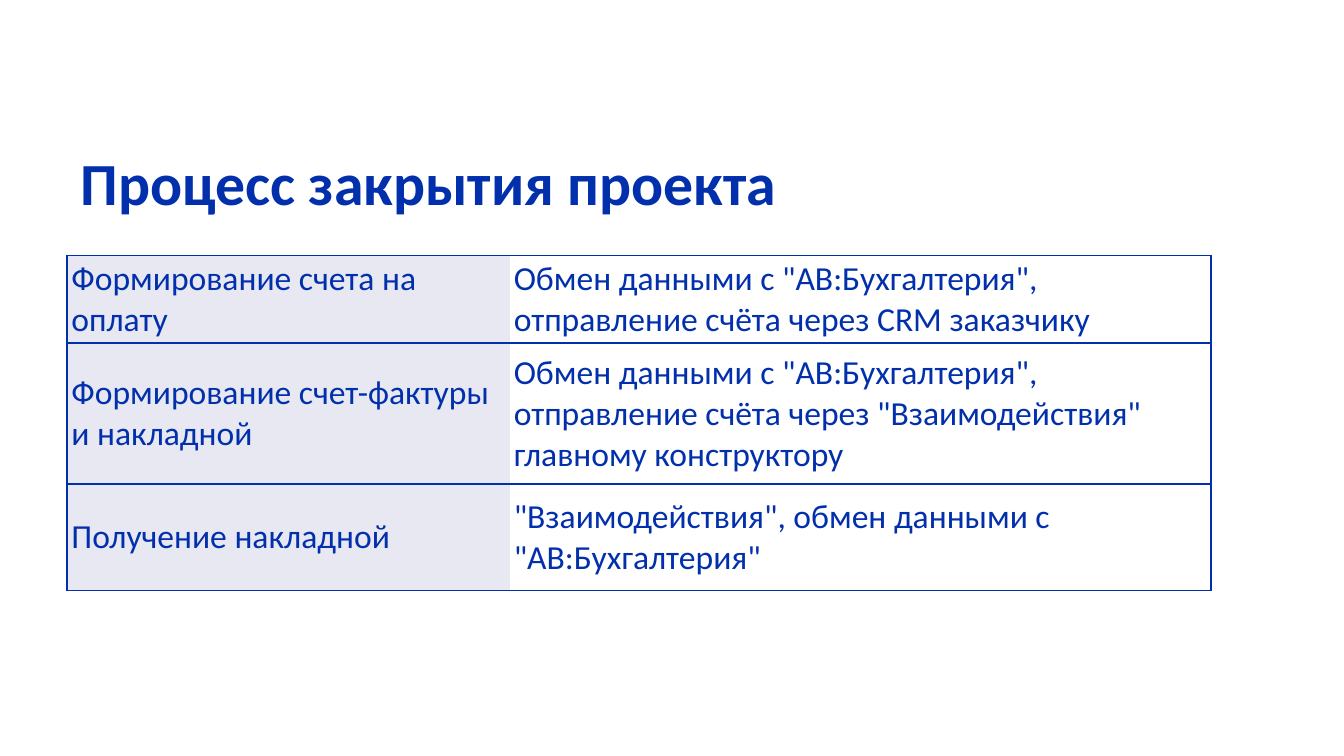
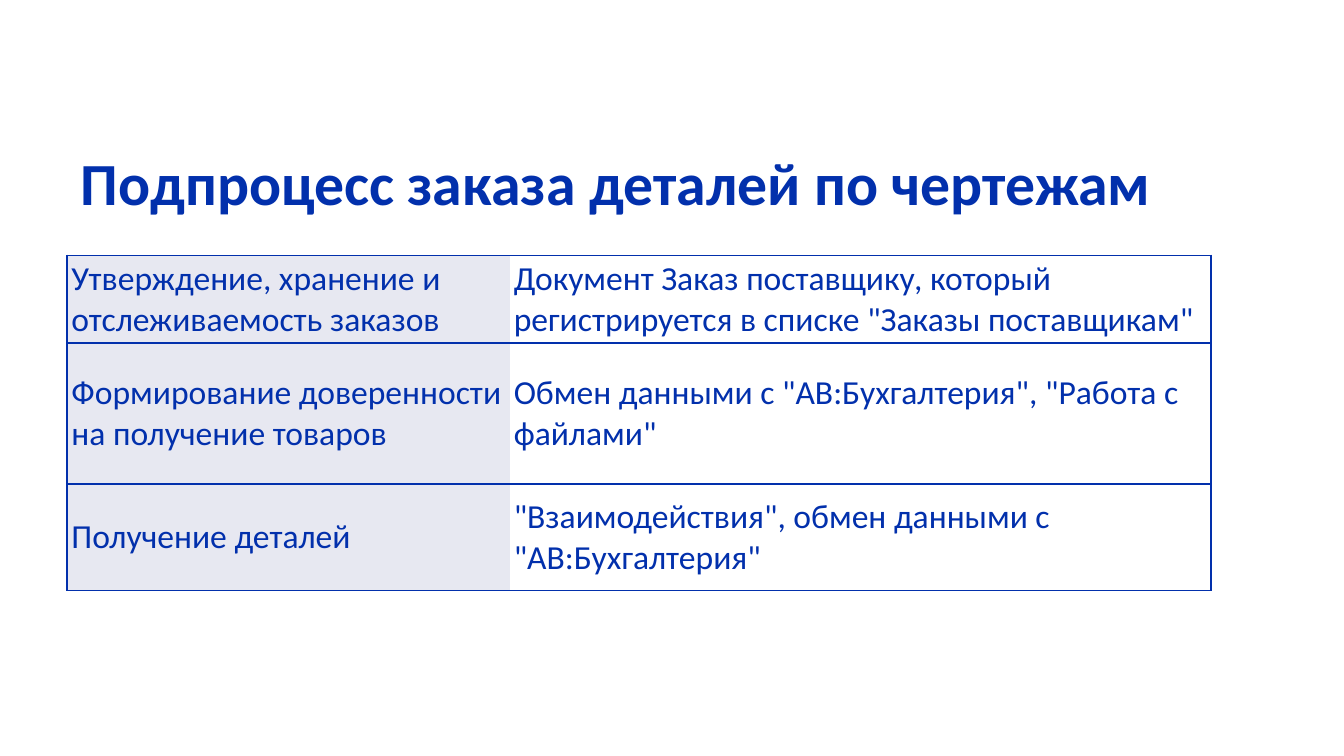
from lxml import etree
from pptx import Presentation
from pptx.dml.color import RGBColor
from pptx.enum.text import MSO_ANCHOR, MSO_AUTO_SIZE, PP_ALIGN
from pptx.oxml.ns import qn
from pptx.util import Cm, Pt

MIDDLE = MSO_ANCHOR.MIDDLE
LEFT = PP_ALIGN.LEFT
NO_AUTOFIT = MSO_AUTO_SIZE.NONE
TITLE_ONLY = 5

COLORS = {"text": "0230AC", "label": "E7E8F1", "value": "FFFFFF"}
FONT = "Calibri"
MARGIN = Cm(1.27)
COLUMN_WIDTHS = (Cm(8.36), Cm(13.26))
ROW_HEIGHTS = (Cm(1.37), Cm(2.67), Cm(2.01))

SLIDES = [
    ("Процесс закрытия проекта", [
        ("Формирование счета на оплату",
         'Обмен данными с "АВ:Бухгалтерия", отправление счёта через CRM заказчику'),
        ("Формирование счет-фактуры и накладной",
         'Обмен данными с "АВ:Бухгалтерия", отправление счёта через '
         '"Взаимодействия" главному конструктору'),
        ("Получение накладной",
         '"Взаимодействия", обмен данными с "АВ:Бухгалтерия"'),
    ]),
    ("Подпроцесс заказа деталей по чертежам", [
        ("Утверждение, хранение и отслеживаемость заказов",
         'Документ Заказ поставщику, который регистрируется в списке '
         '"Заказы поставщикам"'),
        ("Формирование доверенности на получение товаров",
         'Обмен данными с "АВ:Бухгалтерия", "Работа с файлами"'),
        ("Получение деталей",
         '"Взаимодействия", обмен данными с "АВ:Бухгалтерия"'),
    ]),
]


class Deck:
    def __init__(self):
        self.presentation = Presentation()
        self.presentation.slide_width = Cm(25.4)
        self.presentation.slide_height = Cm(14.29)
        self.slide = None

    def add_slide(self, title):
        layout = self.presentation.slide_layouts[TITLE_ONLY]
        self.slide = self.presentation.slides.add_slide(layout)
        shape = self.slide.shapes.title
        shape.left, shape.top = MARGIN, Cm(2.57)
        shape.width, shape.height = Cm(22.86), Cm(1.73)
        frame = shape.text_frame
        frame.text = title
        frame.auto_size = NO_AUTOFIT
        frame.vertical_anchor = MIDDLE
        self.style(frame.paragraphs[0], 32, bold=True)

    def style(self, paragraph, size, bold=False):
        paragraph.alignment = LEFT
        font = paragraph.font
        font.name, font.size, font.bold = FONT, Pt(size), bold
        font.color.rgb = RGBColor.from_string(COLORS["text"])

    def add_table(self, rows):
        shape = self.slide.shapes.add_table(
            len(rows), len(COLUMN_WIDTHS), MARGIN, Cm(4.83),
            sum(COLUMN_WIDTHS), sum(ROW_HEIGHTS))
        table = shape.table
        table.first_row = table.horz_banding = False
        for column, width in zip(table.columns, COLUMN_WIDTHS):
            column.width = width
        for row, height, texts in zip(table.rows, ROW_HEIGHTS, rows):
            row.height = height
            label, value = row.cells
            self.fill_cell(label, texts[0], "label", "LTB")
            self.fill_cell(value, texts[1], "value", "RTB")

    def fill_cell(self, cell, text, color, sides):
        cell.text = text
        cell.vertical_anchor = MIDDLE
        cell.margin_left = cell.margin_right = Cm(0.08)
        cell.margin_top = cell.margin_bottom = Cm(0.05)
        cell.fill.solid()
        cell.fill.fore_color.rgb = RGBColor.from_string(COLORS[color])
        self.style(cell.text_frame.paragraphs[0], 18)
        self.set_borders(cell, sides)

    def set_borders(self, cell, sides):
        # Border lines come before the fill; sides not listed stay empty
        properties = cell._tc.get_or_add_tcPr()
        for position, side in enumerate("LRTB"):
            line = etree.Element(qn(f"a:ln{side}"), w=str(Pt(1)))
            if side in sides:
                fill = etree.SubElement(line, qn("a:solidFill"))
                etree.SubElement(fill, qn("a:srgbClr"), val=COLORS["text"])
            else:
                etree.SubElement(line, qn("a:noFill"))
            properties.insert(position, line)


def main():
    deck = Deck()
    for title, rows in SLIDES:
        deck.add_slide(title)
        deck.add_table(rows)
    deck.presentation.save("out.pptx")


if __name__ == "__main__":
    main()
